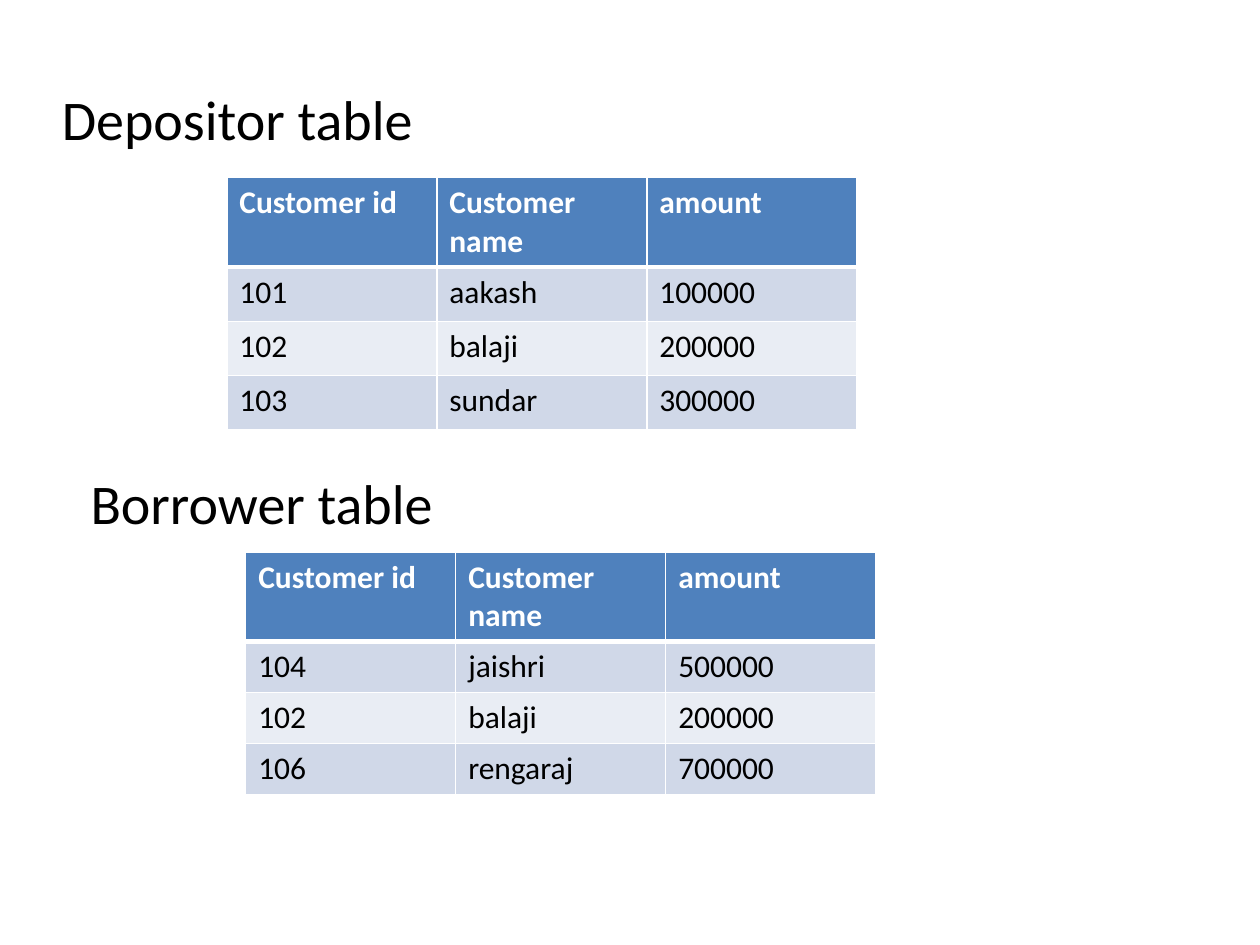
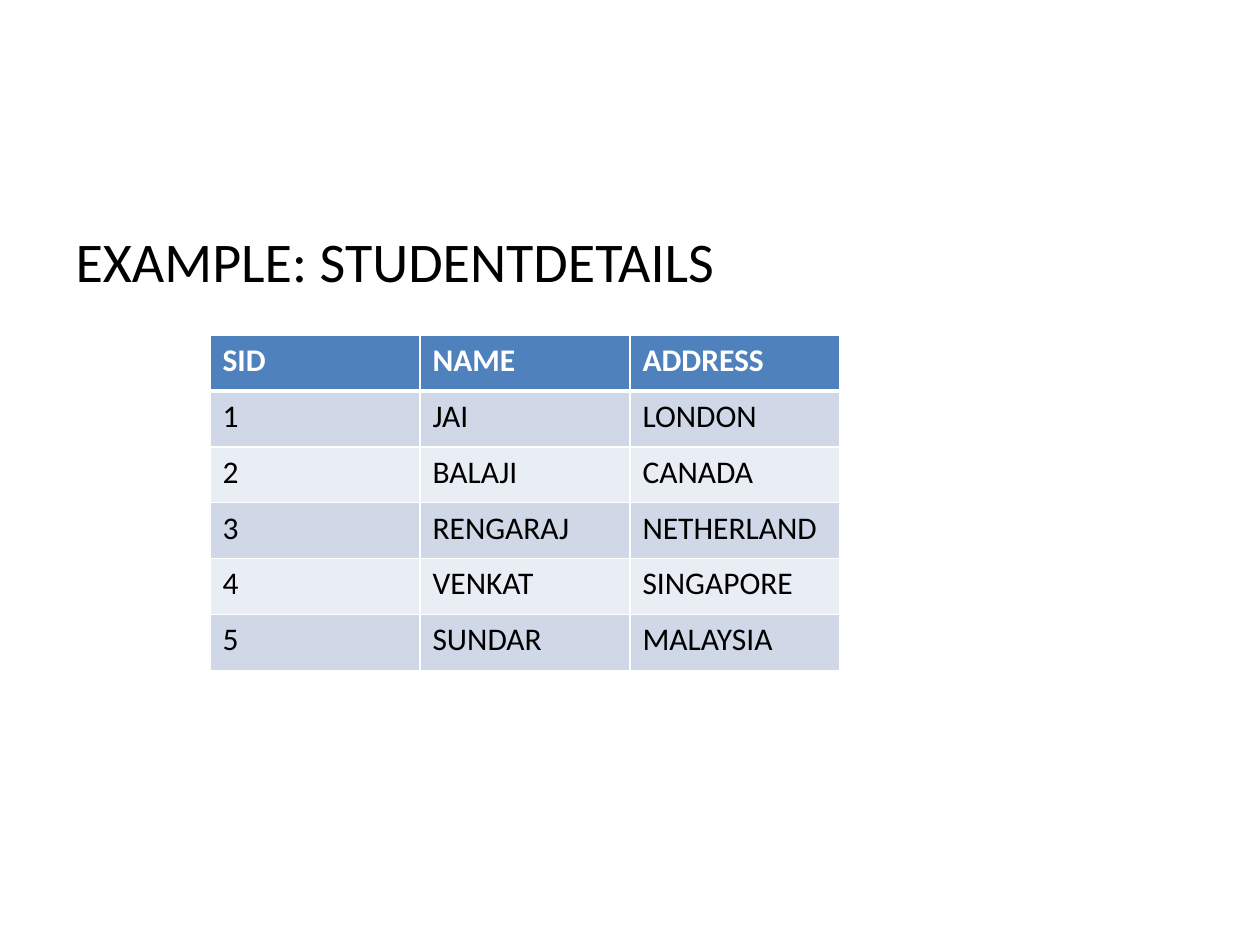
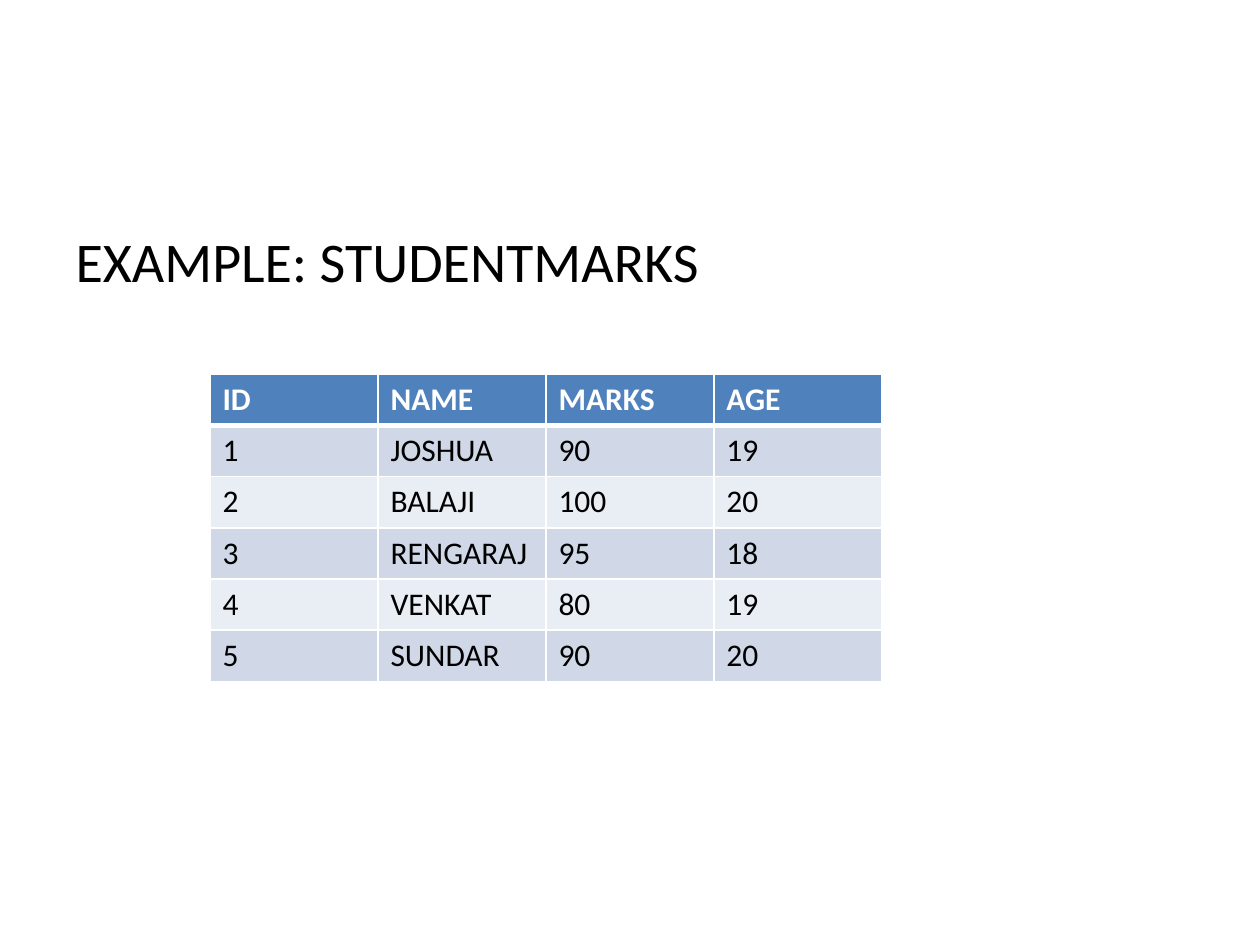
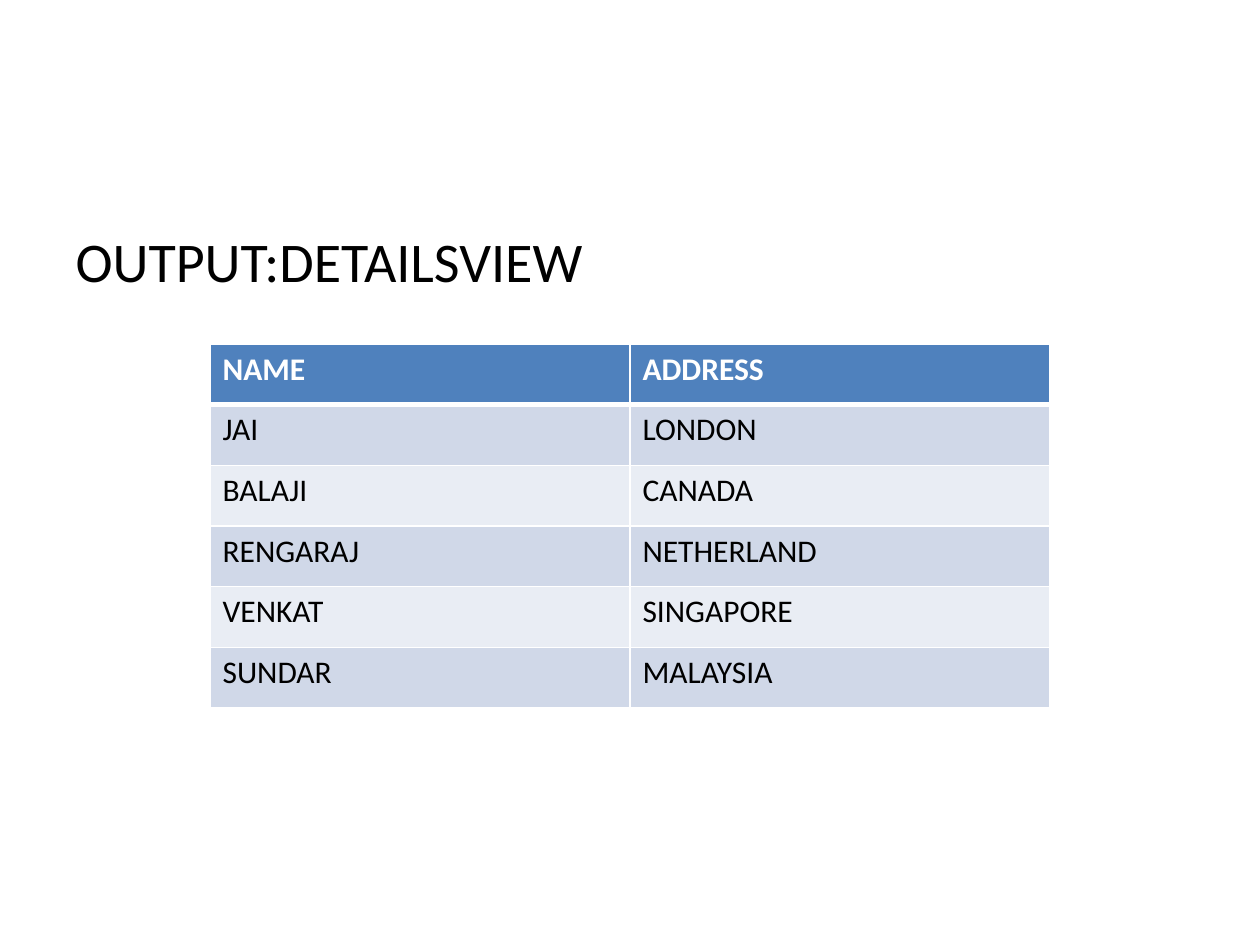
from lxml import etree
from pptx import Presentation
from pptx import util as u
from pptx.dml.color import RGBColor
from pptx.enum import text as t
from pptx.oxml.ns import qn

COLORS = {
    "ink": "000000",
    "paper": "FFFFFF",
    "header": "4F81BD",
    "odd_row": "D0D8E8",
    "even_row": "E9EDF4",
}
FONT = "Calibri"
HEADING_SIZE, CELL_SIZE = 32, 18
SLIDE_WIDTH, SLIDE_HEIGHT = u.Inches(10), u.Inches(7.5)
GRID_COLUMNS, GRID_ROWS = 100, 75
THIRD = GRID_COLUMNS / 6
HANGING = u.Inches(0.38)
BODY_AT = (5, 17.5, 90, 49.5)

DEPOSITORS = [
    ("Customer id", "Customer name", "amount"),
    ("101", "aakash", "100000"),
    ("102", "balaji", "200000"),
    ("103", "sundar", "300000"),
]
BORROWERS = [
    ("Customer id", "Customer name", "amount"),
    ("104", "jaishri", "500000"),
    ("102", "balaji", "200000"),
    ("106", "rengaraj", "700000"),
]
STUDENT_DETAILS = [
    ("SID", "NAME", "ADDRESS"),
    ("1", "JAI", "LONDON"),
    ("2", "BALAJI", "CANADA"),
    ("3", "RENGARAJ", "NETHERLAND"),
    ("4", "VENKAT", "SINGAPORE"),
    ("5", "SUNDAR", "MALAYSIA"),
]
STUDENT_MARKS = [
    ("ID", "NAME", "MARKS", "AGE"),
    ("1", "JOSHUA", "90", "19"),
    ("2", "BALAJI", "100", "20"),
    ("3", "RENGARAJ", "95", "18"),
    ("4", "VENKAT", "80", "19"),
    ("5", "SUNDAR", "90", "20"),
]
DETAILS_VIEW = [row[1:] for row in STUDENT_DETAILS]


def across(columns):
    return round(SLIDE_WIDTH * columns / GRID_COLUMNS)


def down(rows):
    return round(SLIDE_HEIGHT * rows / GRID_ROWS)


def place(left, top, width, height):
    return across(left), down(top), across(width), down(height)


def write(frame, words, size=CELL_SIZE, color="ink", bold=False):
    paragraph = frame.paragraphs[0]
    run = paragraph.add_run()
    run.text = words
    run.font.name = FONT
    run.font.size = u.Pt(size)
    run.font.bold = bold
    run.font.color.rgb = RGBColor.from_string(COLORS[color])
    return paragraph


def add_body_heading(slide, words, at=BODY_AT):
    body = slide.placeholders[1]
    body.left, body.top, body.width, body.height = place(*at)
    paragraph = write(body.text_frame, words, size=HEADING_SIZE)
    paragraph.space_before = u.Pt(0)
    properties = paragraph._p.get_or_add_pPr()
    properties.set("marL", str(HANGING))
    properties.set("indent", str(-HANGING))
    etree.SubElement(properties, qn("a:buNone"))


def add_heading_box(slide, words, at):
    heading = slide.shapes.add_textbox(*place(*at))
    heading.text_frame.word_wrap = True
    heading.text_frame.auto_size = t.MSO_AUTO_SIZE.SHAPE_TO_FIT_TEXT
    write(heading.text_frame, words, size=HEADING_SIZE)


def rule_cell(cell, top=1, bottom=1):
    properties = cell._tc.get_or_add_tcPr()
    widths = {"a:lnL": 1, "a:lnR": 1, "a:lnT": top, "a:lnB": bottom}
    for side, width in widths.items():
        line = etree.SubElement(properties, qn(side), w=str(u.Pt(width)))
        fill = etree.SubElement(line, qn("a:solidFill"))
        etree.SubElement(fill, qn("a:srgbClr"), val=COLORS["paper"])


def add_records(slide, records, at, row_height=None):
    box = place(*at)
    holder = slide.shapes.add_table(len(records), len(records[0]), *box)
    for r, record in enumerate(records):
        is_header = r == 0
        band = "header" if is_header else "odd_row" if r % 2 else "even_row"
        if row_height:
            holder.table.rows[r].height = down(row_height)
        for c, value in enumerate(record):
            cell = holder.table.cell(r, c)
            rule_cell(cell, top=3 if r == 1 else 1, bottom=3 if is_header else 1)
            cell.fill.solid()
            cell.fill.fore_color.rgb = RGBColor.from_string(COLORS[band])
            write(cell.text_frame, value, bold=is_header,
                  color="paper" if is_header else "ink")
    holder.height = box[3]


def add_slide(deck):
    slide = deck.slides.add_slide(deck.slide_layouts[1])
    title = slide.shapes.title._element
    title.getparent().remove(title)
    return slide


def main():
    deck = Presentation()
    deck.slide_width, deck.slide_height = SLIDE_WIDTH, SLIDE_HEIGHT

    bank = add_slide(deck)
    add_body_heading(bank, "Depositor table", at=(3.9, 6.2, 90, 49.5))
    add_records(bank, DEPOSITORS, (18, 14.1, 3 * THIRD, 19.9), row_height=4.3)
    add_records(bank, BORROWERS, (19.5, 43.8, 3 * THIRD, 19), row_height=3.7)
    add_heading_box(bank, "Borrower table", (6.2, 36.7, 35.9, 6.4))

    students = [
        ("EXAMPLE: STUDENTDETAILS", STUDENT_DETAILS, 26.6, 3 * THIRD, 26.6),
        ("EXAMPLE: STUDENTMARKS", STUDENT_MARKS, 29.7, 3.2 * THIRD, 24.4),
        ("OUTPUT:DETAILSVIEW", DETAILS_VIEW, 27.3, 4 * THIRD, 28.9),
    ]
    for heading, records, top, width, height in students:
        slide = add_slide(deck)
        add_body_heading(slide, heading)
        add_records(slide, records, (THIRD, top, width, height))

    deck.save("out.pptx")


if __name__ == "__main__":
    main()
